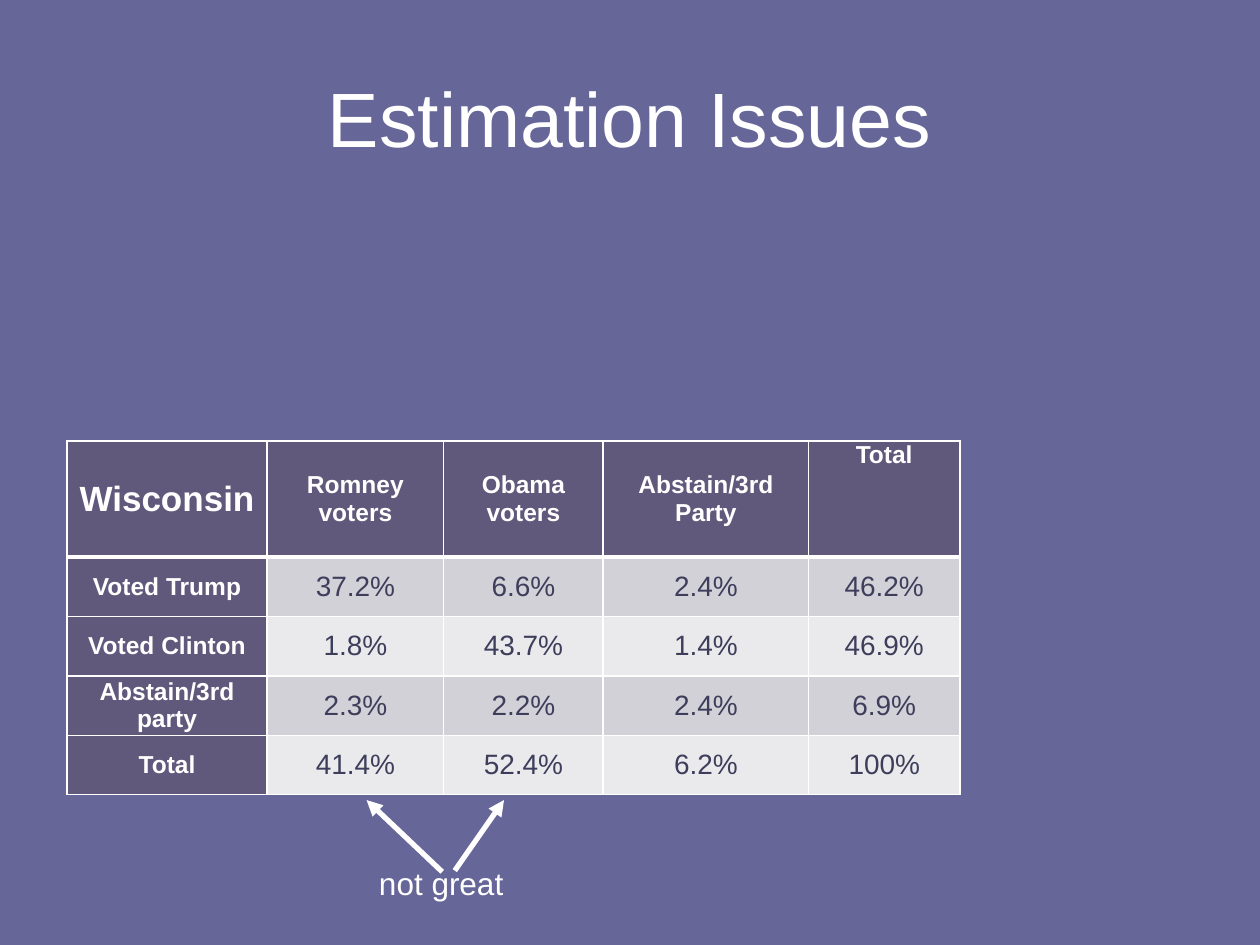
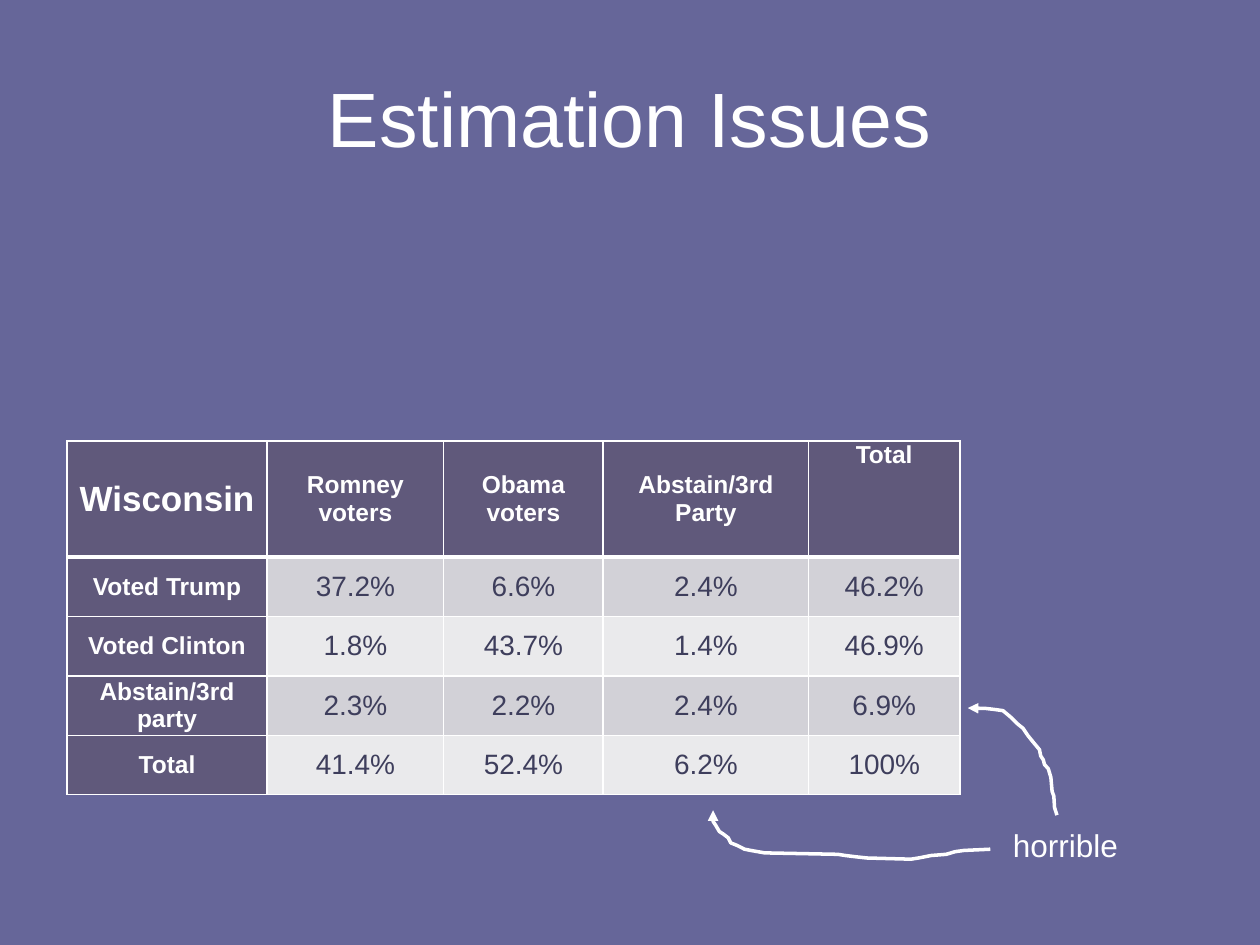
from lxml.etree import SubElement
from pptx import Presentation
from pptx.dml.color import RGBColor
from pptx.enum.shapes import MSO_CONNECTOR
from pptx.enum.text import MSO_ANCHOR, PP_ALIGN
from pptx.oxml.ns import qn
from pptx.util import Pt

# Shared colours and text formats
BACK = RGBColor(0x66, 0x66, 0x99)
HEAD = RGBColor(0x60, 0x59, 0x7B)
DARK = RGBColor(0xD2, 0xD1, 0xD7)
LIGHT = RGBColor(0xEA, 0xEA, 0xEC)
INK = RGBColor(0x3E, 0x3E, 0x5C)
WHITE = RGBColor(0xFF, 0xFF, 0xFF)

TITLE = {"size": Pt(44), "bold": False, "color": WHITE}
STATE = {"size": Pt(20), "bold": True, "color": WHITE}
LABEL = {"size": Pt(14), "bold": True, "color": WHITE}
VALUE = {"size": Pt(16), "bold": False, "color": INK}
NOTE = {"size": Pt(18), "bold": False, "color": WHITE}

# Table content and grid
ROWS = [
    ["Wisconsin", "Romney voters", "Obama voters", "Abstain/3rd Party", "Total"],
    ["Voted Trump", "37.2%", "6.6%", "2.4%", "46.2%"],
    ["Voted Clinton", "1.8%", "43.7%", "1.4%", "46.9%"],
    ["Abstain/3rd party", "2.3%", "2.2%", "2.4%", "6.9%"],
    ["Total", "41.4%", "52.4%", "6.2%", "100%"],
]
WIDTHS = [114.5, 100.8, 91.2, 117.4, 86.4]
HEIGHTS = [66.2] + [34] * 4

# Notes, straight arrows and hand-drawn arrows of each slide
SLIDES = [
    {
        "note": ("not great", 209.5, 490.3, 86.4),
        "lines": [(252.7, 498.2, 209.5, 457.2), (259.9, 497.5, 288, 457.2)],
        "curves": [],
    },
    {
        "note": ("horrible", 571.7, 468.7, 74.9),
        "lines": [],
        "curves": [
            [(604, 465.8), (602.6, 461.5), (602.2, 455), (601.2, 452.2),
             (600.5, 444.2), (599, 439.2), (596.9, 437), (596.2, 434.2),
             (594.7, 432), (594, 428.4), (590.4, 424.1), (587.5, 420.5),
             (584.6, 416.2), (581, 413.3), (577.4, 409.7), (573.1, 406.1),
             (568.1, 405.4), (563, 404.8), (553, 404.6)],
            [(565.9, 485.3), (550.8, 486), (545.8, 486.7), (540.7, 488.2),
             (532.1, 488.9), (524.9, 490.3), (520.6, 491), (495.4, 490.3),
             (488.9, 489.6), (483.1, 488.9), (478.8, 488.2), (437, 487.4),
             (429.1, 486), (425.5, 485.3), (421.2, 483.1), (417.6, 481.7),
             (416.2, 478.8), (413.3, 476.6), (411.1, 475.2), (409, 471.6),
             (407.5, 469.4), (407.5, 463)],
        ],
    },
]


def write(frame, text, form, align):
    para = frame.paragraphs[0]
    para.alignment = align
    run = para.add_run()
    run.text = text
    run.font.name = "Arial"
    for key, val in form.items():
        if key == "color":
            run.font.color.rgb = val
        else:
            setattr(run.font, key, val)


def arrow(shape, width):
    shape.line.color.rgb = WHITE
    shape.line.width = Pt(width)
    SubElement(shape.line._get_or_add_ln(), qn("a:tailEnd"), type="triangle")
    SubElement(shape._element.spPr, qn("a:effectLst"))


deck = Presentation()
deck.slide_width, deck.slide_height = Pt(720), Pt(540)
fill = deck.slide_master.background.fill
fill.solid()
fill.fore_color.rgb = BACK

for plan in SLIDES:
    slide = deck.slides.add_slide(deck.slide_layouts[6])
    shapes = slide.shapes

    # Title
    frame = shapes.add_textbox(Pt(36), Pt(21.6), Pt(648), Pt(90)).text_frame
    frame.word_wrap = True
    frame.vertical_anchor = MSO_ANCHOR.MIDDLE
    write(frame, "Estimation Issues", TITLE, PP_ALIGN.CENTER)

    # Table
    table = shapes.add_table(len(ROWS), len(WIDTHS), Pt(38.2), Pt(252),
                             Pt(sum(WIDTHS)), Pt(sum(HEIGHTS))).table
    for col, width in zip(table.columns, WIDTHS):
        col.width = Pt(width)
    for row, height in zip(table.rows, HEIGHTS):
        row.height = Pt(height)
    for r, texts in enumerate(ROWS):
        for c, text in enumerate(texts):
            cell = table.cell(r, c)
            corner = r == 0 and c == len(WIDTHS) - 1
            look = {
                "margin_left": Pt(5), "margin_right": Pt(5),
                "margin_top": 0, "margin_bottom": 0,
                "vertical_anchor": MSO_ANCHOR.TOP if corner else MSO_ANCHOR.MIDDLE,
            }
            for key, val in look.items():
                setattr(cell, key, val)

            # Cell borders, heavy under the header row
            for side in "LRTB":
                heavy = (r, side) in [(0, "B"), (1, "T")]
                edge = SubElement(cell._tc.get_or_add_tcPr(), qn("a:ln" + side),
                                  w=str(Pt(3 if heavy else 1)))
                paint = SubElement(edge, qn("a:solidFill"))
                SubElement(paint, qn("a:srgbClr"), val=str(WHITE))

            head = r == 0 or c == 0
            cell.fill.solid()
            cell.fill.fore_color.rgb = HEAD if head else DARK if r % 2 else LIGHT
            form = STATE if r == c == 0 else LABEL if head else VALUE
            write(cell.text_frame, text, form, PP_ALIGN.CENTER)

    # Note
    text, left, top, width = plan["note"]
    frame = shapes.add_textbox(Pt(left), Pt(top), Pt(width), Pt(29)).text_frame
    frame.word_wrap = False
    write(frame, text, NOTE, PP_ALIGN.LEFT)

    # Arrows
    for ends in plan["lines"]:
        arrow(shapes.add_connector(MSO_CONNECTOR.STRAIGHT, *map(Pt, ends)), 3)
    for curve in plan["curves"]:
        dots = [(Pt(x), Pt(y)) for x, y in curve]
        pen = shapes.build_freeform(*dots[0])
        pen.add_line_segments(dots[1:], close=False)
        shape = pen.convert_to_shape()
        shape.fill.background()
        arrow(shape, 2)

deck.save("out.pptx")
